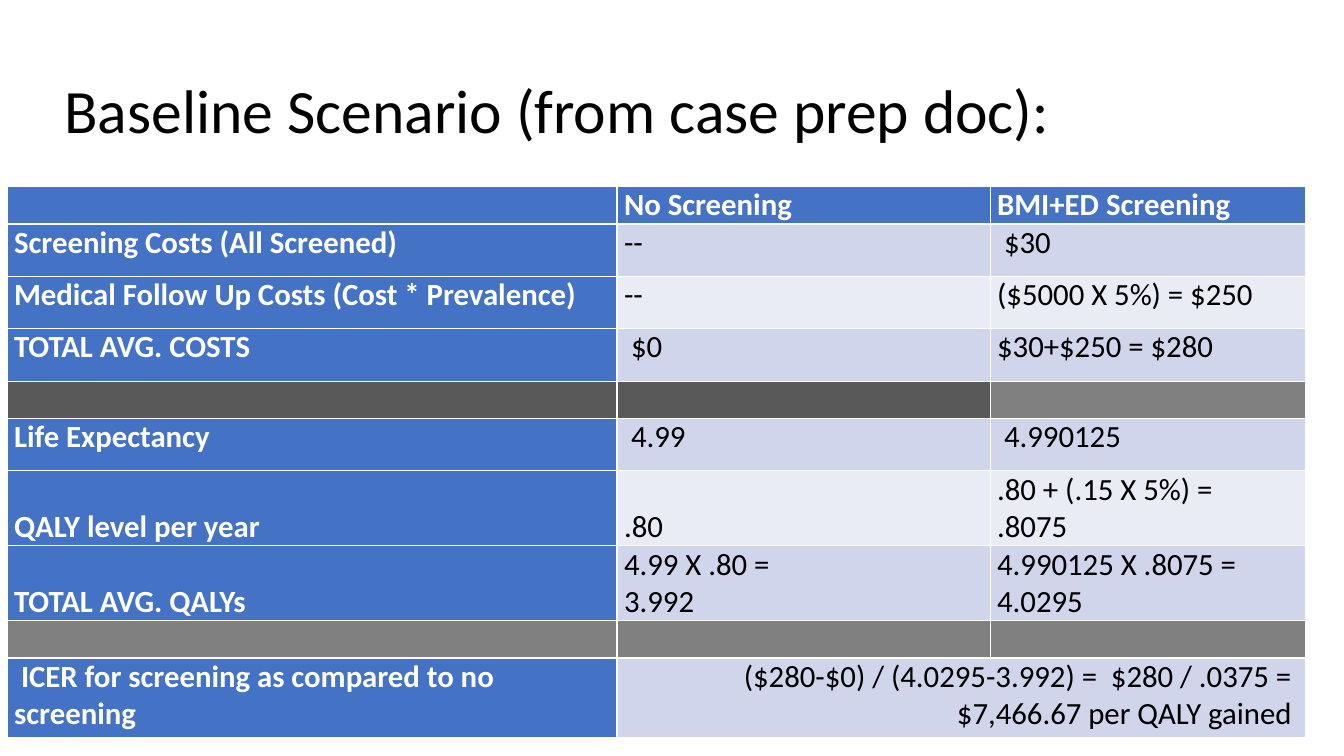
from pptx import Presentation
from pptx.dml.color import RGBColor
from pptx.enum.text import MSO_ANCHOR, PP_ALIGN
from pptx.util import Inches, Pt

LEFT, RIGHT = PP_ALIGN.LEFT, PP_ALIGN.RIGHT
TOP, MIDDLE, BOTTOM = MSO_ANCHOR.TOP, MSO_ANCHOR.MIDDLE, MSO_ANCHOR.BOTTOM
TITLE_ONLY = 5

BLACK = RGBColor(0x00, 0x00, 0x00)
WHITE = RGBColor(0xFF, 0xFF, 0xFF)
BLUE = RGBColor(0x44, 0x72, 0xC4)
BAND_DARK = RGBColor(0xCF, 0xD5, 0xEA)
BAND_LIGHT = RGBColor(0xE9, 0xEB, 0xF5)
GRAY = RGBColor(0x80, 0x80, 0x80)
DARK_GRAY = RGBColor(0x59, 0x59, 0x59)

COL_WIDTHS = [6.05, 3.7, 3.13]

# Each row: height, texts of the three cells (None marks a divider row)
ROWS = [
    (0.37, ["", "No Screening", "BMI+ED Screening"]),
    (0.52, ["Screening Costs (All Screened)", "--", " $30"]),
    (0.52, ["Medical Follow Up Costs (Cost * Prevalence)", "--",
            "($5000 X 5%) = $250"]),
    (0.52, ["TOTAL AVG. COSTS", " $0", "$30+$250 = $280"]),
    (0.37, None),
    (0.52, ["Life Expectancy", " 4.99", " 4.990125"]),
    (0.74, ["QALY level per year", ".80", ".80 + (.15 X 5%) =\n.8075"]),
    (0.74, ["TOTAL AVG. QALYs", "4.99 X .80 =\n3.992",
            "4.990125 X .8075 =\n4.0295"]),
    (0.37, None),
    (0.79, [" ICER for screening as compared to no screening",
            "($280-$0) / (4.0295-3.992) =  $280 / .0375 = \n"
            "$7,466.67 per QALY gained ", ""]),
]
DIVIDER_FILLS = {4: [DARK_GRAY, DARK_GRAY, GRAY], 8: [GRAY] * 3}
BOTTOM_ROWS = (6, 7)
ICER_ROW = len(ROWS) - 1


class SlideBuilder:
    """Holds the text style and the current slide."""

    font_name = "Calibri"

    def __init__(self, prs):
        self.slide = prs.slides.add_slide(prs.slide_layouts[TITLE_ONLY])

    def text(self, tf, text, size, color, bold=False, align=LEFT, spacing=1.0):
        tf.text = text
        style = {"name": self.font_name, "size": Pt(size), "bold": bold}
        for p in tf.paragraphs:
            p.alignment = align
            p.line_spacing = spacing
            for r in p.runs:
                for key, value in style.items():
                    setattr(r.font, key, value)
                r.font.color.rgb = color

    def title(self, text, left, top, width, height):
        sp = self.slide.shapes.title
        box = {"left": left, "top": top, "width": width, "height": height}
        for key, value in box.items():
            setattr(sp, key, Inches(value))
        sp.text_frame.vertical_anchor = MIDDLE
        self.text(sp.text_frame, text, 44, BLACK, spacing=0.9)

    def table(self, left, top):
        height = sum(h for h, _ in ROWS)
        table = self.slide.shapes.add_table(
            len(ROWS), len(COL_WIDTHS), Inches(left), Inches(top),
            Inches(sum(COL_WIDTHS)), Inches(height)).table
        table.first_col = True
        for column, width in zip(table.columns, COL_WIDTHS):
            column.width = Inches(width)
        for i, (row_height, texts) in enumerate(ROWS):
            table.rows[i].height = Inches(row_height)
            for j in range(len(COL_WIDTHS)):
                self.cell(table.cell(i, j), i, j, texts[j] if texts else "")
        table.cell(ICER_ROW, 1).merge(table.cell(ICER_ROW, 2))

    def cell(self, cell, i, j, text):
        heading = i == 0 or j == 0
        if i in DIVIDER_FILLS:
            fill = DIVIDER_FILLS[i][j]
        elif heading:
            fill = BLUE
        else:
            fill = BAND_DARK if i % 2 or i == ICER_ROW else BAND_LIGHT
        layout = {
            "margin_left": Inches(0.07), "margin_right": Inches(0.07),
            "margin_top": 0, "margin_bottom": 0,
            "vertical_anchor": BOTTOM if i in BOTTOM_ROWS else TOP,
        }
        for key, value in layout.items():
            setattr(cell, key, value)
        cell.fill.solid()
        cell.fill.fore_color.rgb = fill
        if text:
            self.text(cell.text_frame, text, 22, WHITE if heading else BLACK,
                      heading, RIGHT if i == ICER_ROW and j else LEFT)


def main():
    prs = Presentation()
    prs.slide_width, prs.slide_height = Inches(13.33), Inches(7.5)
    s = SlideBuilder(prs)

    # Title
    s.title("Baseline Scenario (from case prep doc):", 0.54, 0.4, 11.5, 1.45)

    # Cost and QALY table
    s.table(0.07, 1.85)

    prs.save("out.pptx")


if __name__ == "__main__":
    main()
